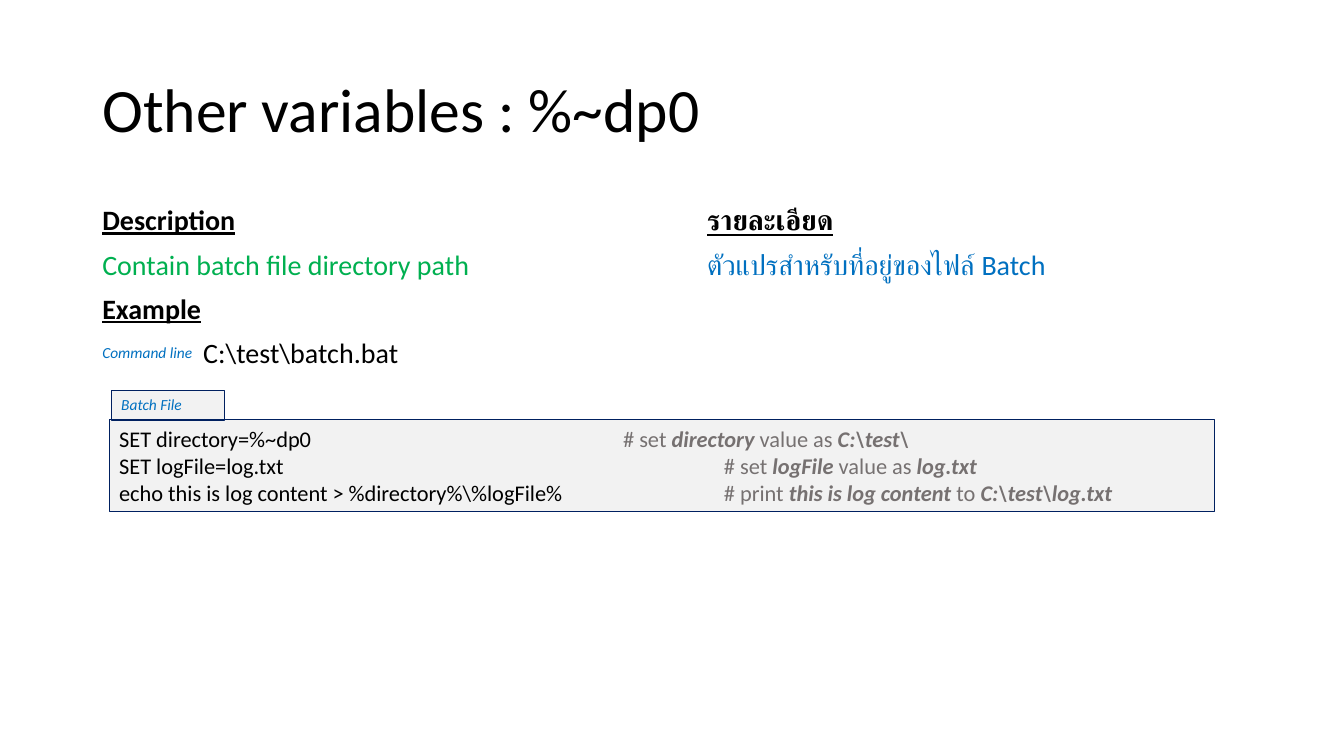
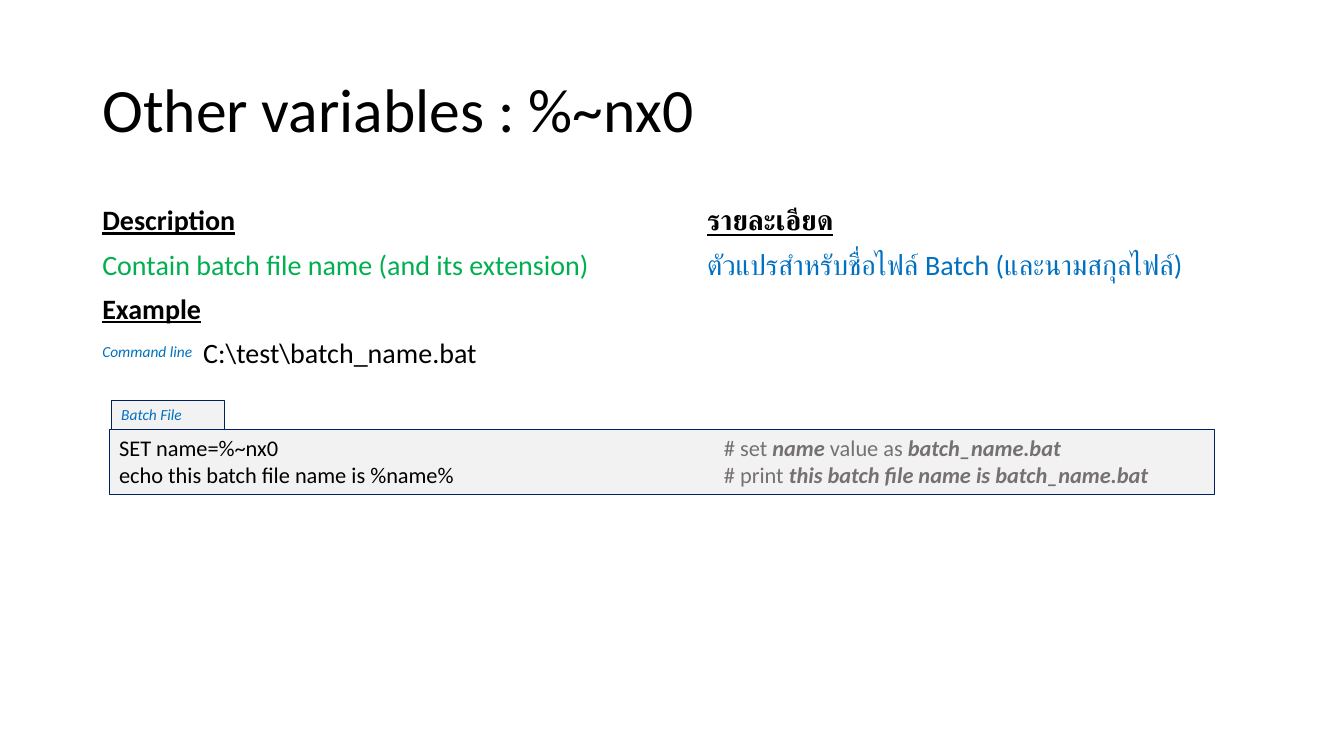
"""Build two slides that explain batch file variables."""
from dataclasses import dataclass

from lxml.etree import SubElement
from pptx import Presentation
from pptx.dml.color import RGBColor
from pptx.enum.shapes import MSO_SHAPE
from pptx.enum.text import MSO_ANCHOR, PP_ALIGN
from pptx.oxml.ns import qn
from pptx.shapes.group import GroupShape
from pptx.slide import Slide
from pptx.text.text import TextFrame, _Paragraph
from pptx.util import Emu, Pt

PIXEL = 9525
FONT = "Calibri"
BLACK = RGBColor(0x00, 0x00, 0x00)
GREEN = RGBColor(0x00, 0xB0, 0x50)
BLUE = RGBColor(0x00, 0x70, 0xC0)
NAVY = RGBColor(0x00, 0x20, 0x60)
GRAY = RGBColor(0x76, 0x71, 0x71)
PALE_GRAY = RGBColor(0xF2, 0xF2, 0xF2)

BODY_SIZE = 20
CODE_SIZE = 16
LABEL_SIZE = 11
LABEL_WIDTH, LABEL_HEIGHT = 108, 28
CONTENT_LEFT, CONTENT_WIDTH = 88, 1104
COMMAND_STOP = 96
COLUMN_STOP = 576


@dataclass(frozen=True)
class CodeLine:
    """A command and its comment, whose every second part is emphasised."""

    command: str
    comment: tuple[str, ...]
    stop: int = COLUMN_STOP


@dataclass(frozen=True)
class VariablePage:
    """The content of one slide."""

    variable: str
    english: str
    thai: str
    command: str
    label_top: int
    code_top: int
    code_height: int
    code: tuple[CodeLine, ...]


PAGES = (
    VariablePage(
        "%~dp0",
        "Contain batch file directory path",
        "ตัวแปรสำหรับที่อยู่ของไฟล์ Batch",
        "C:\\test\\batch.bat",
        322, 400, 87,
        (
            CodeLine("SET directory=%~dp0",
                     ("# set ", "directory", " value as ", "C:\\test\\"), 480),
            CodeLine("SET logFile=log.txt",
                     ("# set ", "logFile", " value as ", "log.txt")),
            CodeLine("echo this is log content > %directory%\\%logFile%",
                     ("# print ", "this is log content", " to ", "C:\\test\\log.txt")),
        ),
    ),
    VariablePage(
        "%~nx0",
        "Contain batch file name (and its extension)",
        "ตัวแปรสำหรับชื่อไฟล์ Batch (และนามสกุลไฟล์)",
        "C:\\test\\batch_name.bat",
        321, 409, 62,
        (
            CodeLine("SET name=%~nx0",
                     ("# set ", "name", " value as ", "batch_name.bat")),
            CodeLine("echo this batch file name is %name%",
                     ("# print ", "this batch file name is batch_name.bat")),
        ),
    ),
)


def px(length: int) -> Emu:
    """Turn pixels into EMU."""
    return Emu(length * PIXEL)


def add_text(paragraph: _Paragraph, text: str, *, size: int, color: RGBColor = BLACK,
             bold: bool = False, italic: bool = False, underline: bool = False) -> None:
    """Append a formatted run."""
    run = paragraph.add_run()
    run.text = text
    font = run.font
    font.name, font.size, font.color.rgb = FONT, Pt(size), color
    font.bold, font.italic, font.underline = bold, italic, underline


def set_tab_stop(paragraph: _Paragraph, position: int) -> None:
    """Give a paragraph one left tab stop."""
    stops = SubElement(paragraph._p.get_or_add_pPr(), qn("a:tabLst"))
    SubElement(stops, qn("a:tab"), pos=str(px(position)), algn="l")


def add_text_box(slide: Slide, left: int, top: int, width: int, height: int) -> TextFrame:
    """Add a wrapping text box and return its frame."""
    frame = slide.shapes.add_textbox(px(left), px(top), px(width), px(height)).text_frame
    frame.word_wrap = True
    return frame


def add_panel(group: GroupShape, left: int, top: int, width: int, height: int) -> TextFrame:
    """Add an outlined pale rectangle and return its frame."""
    shape = group.shapes.add_shape(
        MSO_SHAPE.RECTANGLE, px(left), px(top), px(width), px(height))
    shape.shadow.inherit = False
    shape.fill.solid()
    shape.fill.fore_color.rgb = PALE_GRAY
    shape.line.color.rgb = NAVY
    shape.line.width = Pt(0.75)
    frame = shape.text_frame
    frame.word_wrap = True
    frame.vertical_anchor = MSO_ANCHOR.TOP
    return frame


def add_paragraph(frame: TextFrame, first: bool) -> _Paragraph:
    """Return the first or a further left-aligned paragraph."""
    paragraph = frame.paragraphs[0] if first else frame.add_paragraph()
    paragraph.alignment = PP_ALIGN.LEFT
    return paragraph


def add_label(frame: TextFrame, text: str) -> None:
    """Write a small blue label."""
    add_text(add_paragraph(frame, True), text, size=LABEL_SIZE, color=BLUE, italic=True)


def add_title(slide: Slide, text: str) -> None:
    """Add the slide title."""
    frame = add_text_box(slide, CONTENT_LEFT, 38, CONTENT_WIDTH, 139)
    frame.vertical_anchor = MSO_ANCHOR.MIDDLE
    paragraph = add_paragraph(frame, True)
    paragraph.line_spacing = 0.9
    add_text(paragraph, text, size=44)


def add_body(slide: Slide, page: VariablePage) -> None:
    """Add the two-language description and the command line."""
    frame = add_text_box(slide, CONTENT_LEFT, 192, CONTENT_WIDTH, 457)
    heading = {"bold": True, "underline": True}
    rows = (
        (COLUMN_STOP, (("Description", heading), ("\t", {}), ("รายละเอียด", heading))),
        (COLUMN_STOP, ((page.english, {"color": GREEN}), ("\t", {}),
                       (page.thai, {"color": BLUE}))),
        (COLUMN_STOP, (("Example", heading),)),
        (COMMAND_STOP, (("\t" + page.command, {}),)),
    )
    for index, (stop, runs) in enumerate(rows):
        paragraph = add_paragraph(frame, index == 0)
        paragraph.line_spacing = 0.9
        paragraph.space_before = Pt(10)
        set_tab_stop(paragraph, stop)
        for text, style in runs:
            add_text(paragraph, text, size=BODY_SIZE, **style)


def add_code(slide: Slide, page: VariablePage) -> None:
    """Add the batch file listing with its tab."""
    group = slide.shapes.add_group_shape()
    frame = add_panel(group, 104, page.code_top, 1053, page.code_height)
    for index, line in enumerate(page.code):
        paragraph = add_paragraph(frame, index == 0)
        set_tab_stop(paragraph, line.stop)
        add_text(paragraph, line.command + "\t", size=CODE_SIZE)
        for position, part in enumerate(line.comment):
            strong = position % 2 == 1
            add_text(paragraph, part, size=CODE_SIZE, color=GRAY, bold=strong, italic=strong)
    add_label(add_panel(group, 106, page.code_top - LABEL_HEIGHT, LABEL_WIDTH, LABEL_HEIGHT),
              "Batch File")


def main() -> None:
    """Build and save the presentation."""
    presentation = Presentation()
    presentation.slide_width, presentation.slide_height = px(1280), px(720)
    for page in PAGES:
        slide = presentation.slides.add_slide(presentation.slide_layouts[6])
        add_title(slide, f"Other variables : {page.variable}")
        add_body(slide, page)
        add_label(add_text_box(slide, CONTENT_LEFT, page.label_top, LABEL_WIDTH, LABEL_HEIGHT),
                  "Command line")
        add_code(slide, page)
    presentation.save("out.pptx")


if __name__ == "__main__":
    main()
